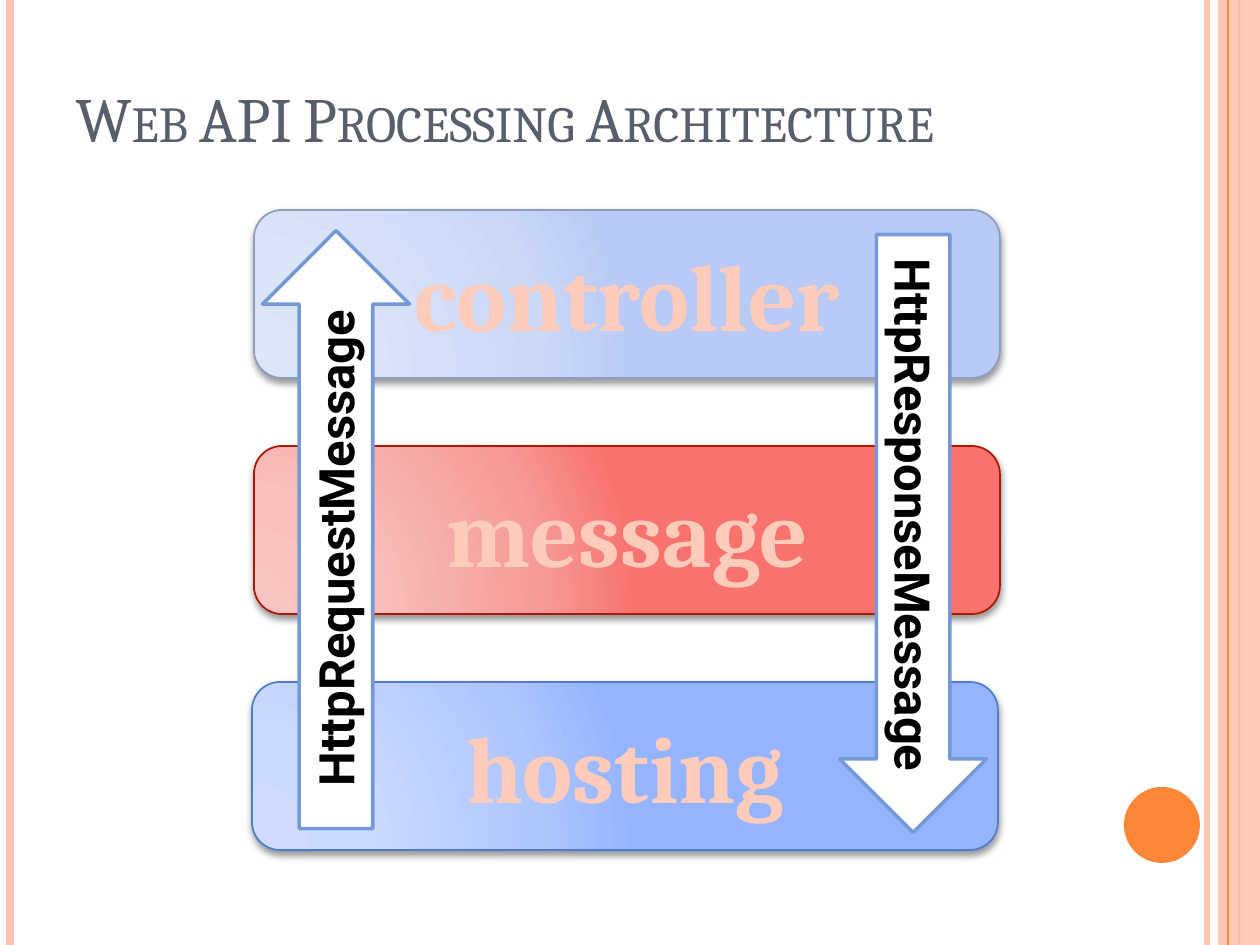
"""Build the Web API processing architecture slide."""
from lxml.etree import SubElement
from pptx import Presentation
from pptx.dml.color import RGBColor
from pptx.enum.shapes import MSO_CONNECTOR as Connector, MSO_SHAPE as Shape
from pptx.enum.text import MSO_ANCHOR as Anchor, PP_ALIGN as Align
from pptx.oxml import parse_xml
from pptx.oxml.ns import nsdecls, qn
from pptx.util import Pt

PX = 914400 / 126


def colour(code):
    return RGBColor.from_string(code)


def write(shape, text, size, font, code, bold=False, align=Align.CENTER,
          anchor=Anchor.MIDDLE, small_caps=False):
    frame = shape.text_frame
    frame.word_wrap = True
    frame.vertical_anchor = anchor
    paragraph = frame.paragraphs[0]
    paragraph.alignment = align
    run = paragraph.add_run()
    run.text = text
    run.font.size = Pt(size)
    run.font.name = font
    run.font.bold = bold
    run.font.color.rgb = colour(code)
    if small_caps:
        run.font._element.set("cap", "small")


deck = Presentation()
deck.slide_width, deck.slide_height = round(1260 * PX), round(945 * PX)
slide = deck.slides.add_slide(deck.slide_layouts[5])
shapes = slide.shapes

heading = shapes.title
heading.left, heading.top, heading.width, heading.height = [
    round(n * PX) for n in (63, 38, 1029, 158)]
write(heading, "Web API Processing Architecture", 36, "Cambria", "575F6D",
      align=Align.LEFT, small_caps=True)

for kind, box, code, opacity in [
    (Shape.RECTANGLE, (1218, 0, 42, 945), "FEC3AE", 87),
    (Shape.OVAL, (1124, 787, 76, 76), "FE8637", 100),
]:
    ornament = shapes.add_shape(kind, *[round(n * PX) for n in box])
    ornament.shadow.inherit = False
    ornament.fill.solid()
    ornament.fill.fore_color.rgb = colour(code)
    ornament.line.fill.background()
    if opacity < 100:
        tint = ornament._element.spPr.find(".//" + qn("a:srgbClr"))
        SubElement(tint, qn("a:alpha")).set("val", str(opacity * 1000))

for x, weight, code in [
    (1207, 3, "FEC7B4"),
    (10, 4.5, "FEC3AE"),
    (1239, 1.5, "FEBB9F"),
    (1228, 0.75, "FE8637"),
]:
    stripe = shapes.add_connector(
        Connector.STRAIGHT, round(x * PX), 0, round(x * PX), deck.slide_height)
    stripe.line.width = Pt(weight)
    stripe.line.color.rgb = colour(code)
    SubElement(stripe._element.spPr, qn("a:effectLst"))

layers = [
    ("controller", 254, "8D9CBF", ("DEE6FA", "DBE4F9", "CAD7F7", "B8CAF5")),
    ("message", 254, "AC1800", ("F8C5C3", "F8BFBD", "F69B98", "F8736E")),
    ("hosting", 252, "4F7CCF", ("CFDCFF", "CBD9FF", "AFC6FF", "95B4FF")),
]
for row, (name, left, edge, shades) in enumerate(layers):
    layer = shapes.add_shape(
        Shape.ROUNDED_RECTANGLE,
        *[round(n * PX) for n in (left, 210 + 236 * row, 746, 168)])
    layer.line.color.rgb = colour(edge)
    layer.line.width = Pt(1)
    layer.fill.background()
    layer.shadow.inherit = False
    stops = "".join(
        f'<a:gs pos="{place * 1000}"><a:srgbClr val="{shade}"/></a:gs>'
        for place, shade in zip((0, 30, 75, 100), shades))
    properties = layer._element.spPr
    properties.replace(properties.find(qn("a:noFill")), parse_xml(
        f'<a:gradFill {nsdecls("a")} rotWithShape="1"><a:gsLst>{stops}</a:gsLst>'
        '<a:path path="circle"><a:fillToRect l="5000" t="100000" r="120000" '
        'b="10000"/></a:path></a:gradFill>'))
    properties.find(qn("a:effectLst")).append(parse_xml(
        f'<a:outerShdw {nsdecls("a")} blurRad="{Pt(4)}" dist="{Pt(2)}" '
        'dir="5400000" rotWithShape="0"><a:srgbClr val="000000">'
        '<a:alpha val="40000"/></a:srgbClr></a:outerShdw>'))
    write(layer, name, 54, "Cambria", "FFCCBB", bold=True)

for message, left, top, turn in [
    ("HttpRequestMessage", 37, 456, 270),
    ("HttpResponseMessage", 614, 460, 90),
]:
    flow = shapes.add_shape(
        Shape.RIGHT_ARROW, *[round(n * PX) for n in (left, top, 598, 147)])
    flow.rotation = turn
    flow.shadow.inherit = False
    flow.fill.solid()
    flow.fill.fore_color.rgb = colour("FFFFFF")
    flow.line.color.rgb = colour("7598D9")
    flow.line.width = Pt(2)
    write(flow, message, 28, "Roboto", "000000", bold=True, anchor=Anchor.TOP)

deck.save("out.pptx")
